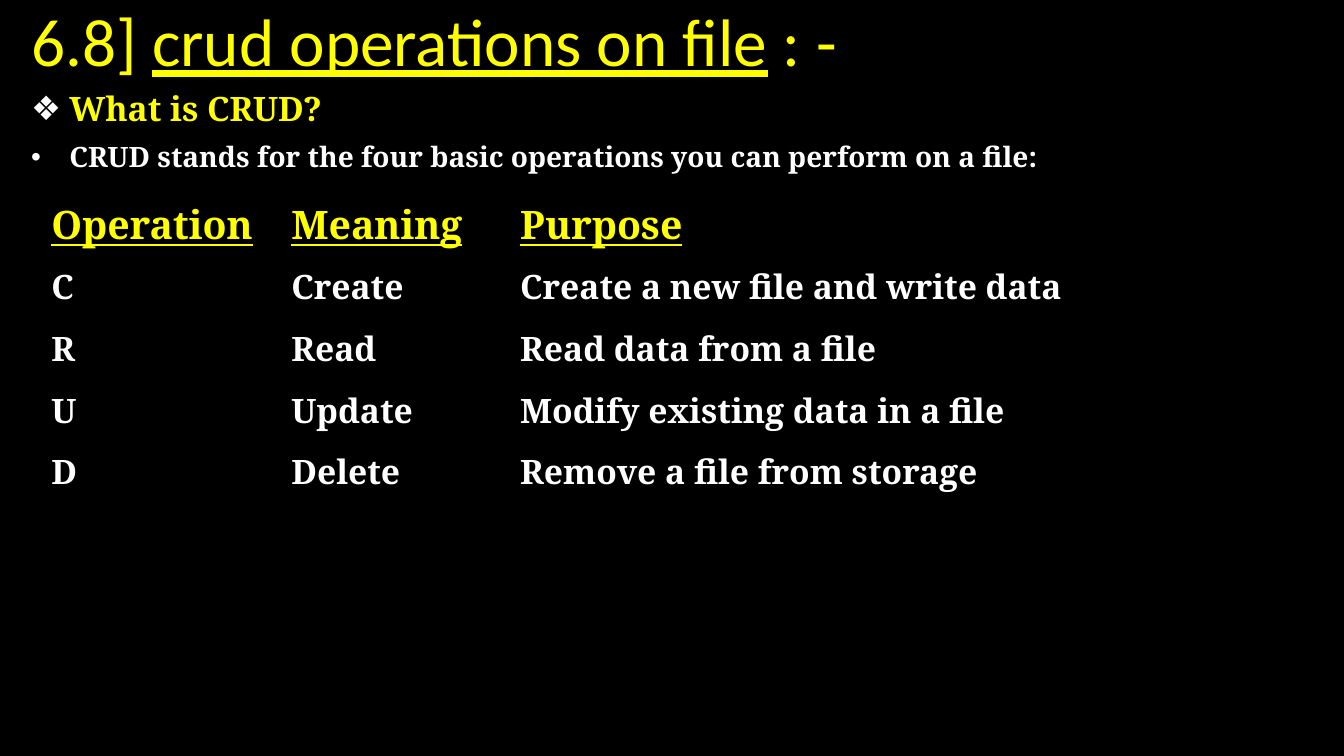
from dataclasses import dataclass

from lxml import etree
from pptx import Presentation
from pptx.dml.color import RGBColor
from pptx.enum.text import MSO_ANCHOR, PP_ALIGN
from pptx.oxml.ns import qn
from pptx.util import Inches, Pt

MIDDLE = MSO_ANCHOR.MIDDLE
TOP = MSO_ANCHOR.TOP
LEFT = PP_ALIGN.LEFT
NO_STYLE_NO_GRID = "{2D5ABB26-0587-4C30-8999-92F81FD0307C}"


@dataclass(frozen=True)
class Theme:
    background: RGBColor = RGBColor(0x00, 0x00, 0x00)
    accent: RGBColor = RGBColor(0xFF, 0xFF, 0x00)
    text: RGBColor = RGBColor(0xFF, 0xFF, 0xFF)
    title_font: str = "Calibri"
    body_font: str = "Noto Serif"
    title_size: Pt = Pt(48)
    header_size: Pt = Pt(28)
    body_size: Pt = Pt(24)
    detail_size: Pt = Pt(20)


theme = Theme()


def add_run(paragraph, text, color, **font_values):
    run = paragraph.add_run()
    run.text = text
    run.font.color.rgb = color
    for name, value in font_values.items():
        setattr(run.font, name, value)


def add_bullet(paragraph, symbol):
    properties = paragraph._p.get_or_add_pPr()
    properties.set("marL", str(Inches(0.38)))
    properties.set("indent", str(Inches(-0.38)))
    color = etree.SubElement(properties, qn("a:buClr"))
    etree.SubElement(color, qn("a:srgbClr"), val=str(theme.text))
    etree.SubElement(properties, qn("a:buFont"), typeface="Arial")
    etree.SubElement(properties, qn("a:buChar"), char=symbol)


presentation = Presentation()
presentation.slide_width = Inches(13.33)
presentation.slide_height = Inches(7.5)
slide = presentation.slides.add_slide(presentation.slide_layouts[5])
slide.background.fill.solid()
slide.background.fill.fore_color.rgb = theme.background

title = slide.shapes.title
title_place = {"left": 0.21, "top": -0.14, "width": 11.08, "height": 1.17}
for side, length in title_place.items():
    setattr(title, side, Inches(length))
title.text_frame.vertical_anchor = MIDDLE
heading = title.text_frame.paragraphs[0]
heading.alignment = LEFT
heading.line_spacing = 0.9
for text, underline in [("6.8] ", False), ("crud operations on file", True), (" : -", False)]:
    add_run(heading, text, theme.accent, name=theme.title_font,
            size=theme.title_size, underline=underline)

intro = slide.shapes.add_textbox(
    Inches(0.21), Inches(0.86), Inches(12.71), Inches(1.52)
).text_frame
intro_format = {"word_wrap": True, "vertical_anchor": TOP, "margin_top": Inches(0.06)}
for name, value in intro_format.items():
    setattr(intro, name, value)
intro.add_paragraph()
intro_lines = [
    ("❖", "What is CRUD?", theme.accent, theme.body_size),
    ("•", "CRUD stands for the four basic operations you can perform on a file:",
     theme.text, theme.detail_size),
]
for paragraph, (symbol, text, color, size) in zip(intro.paragraphs, intro_lines):
    paragraph.line_spacing = 0.9
    paragraph.space_after = Pt(10)
    add_bullet(paragraph, symbol)
    add_run(paragraph, text, color, name=theme.body_font, size=size, bold=True)

crud_rows = [
    ("Operation", "Meaning", "Purpose"),
    ("C", "Create", "Create a new file and write data"),
    ("R", "Read", "Read data from a file"),
    ("U", "Update", "Modify existing data in a file"),
    ("D", "Delete", "Remove a file from storage"),
]
operations = slide.shapes.add_table(
    len(crud_rows), 3, Inches(0.41), Inches(1.92), Inches(11.95), Inches(3.07)
).table
operations.horz_banding = False
operations._tbl.tblPr.find(qn("a:tableStyleId")).text = NO_STYLE_NO_GRID
for column, width in zip(operations.columns, (2.38, 2.27, 7.3)):
    column.width = Inches(width)

cell_format = {"vertical_anchor": MIDDLE, "margin_top": Inches(0.04),
               "margin_bottom": Inches(0.04)}
for row_index, row in enumerate(crud_rows):
    is_header = row_index == 0
    color = theme.accent if is_header else theme.text
    size = theme.header_size if is_header else theme.body_size
    for column_index, text in enumerate(row):
        cell = operations.cell(row_index, column_index)
        cell.fill.background()
        for name, value in cell_format.items():
            setattr(cell, name, value)
        add_run(cell.text_frame.paragraphs[0], text, color, name=theme.body_font,
                size=size, bold=True, underline=is_header)

presentation.save("out.pptx")
